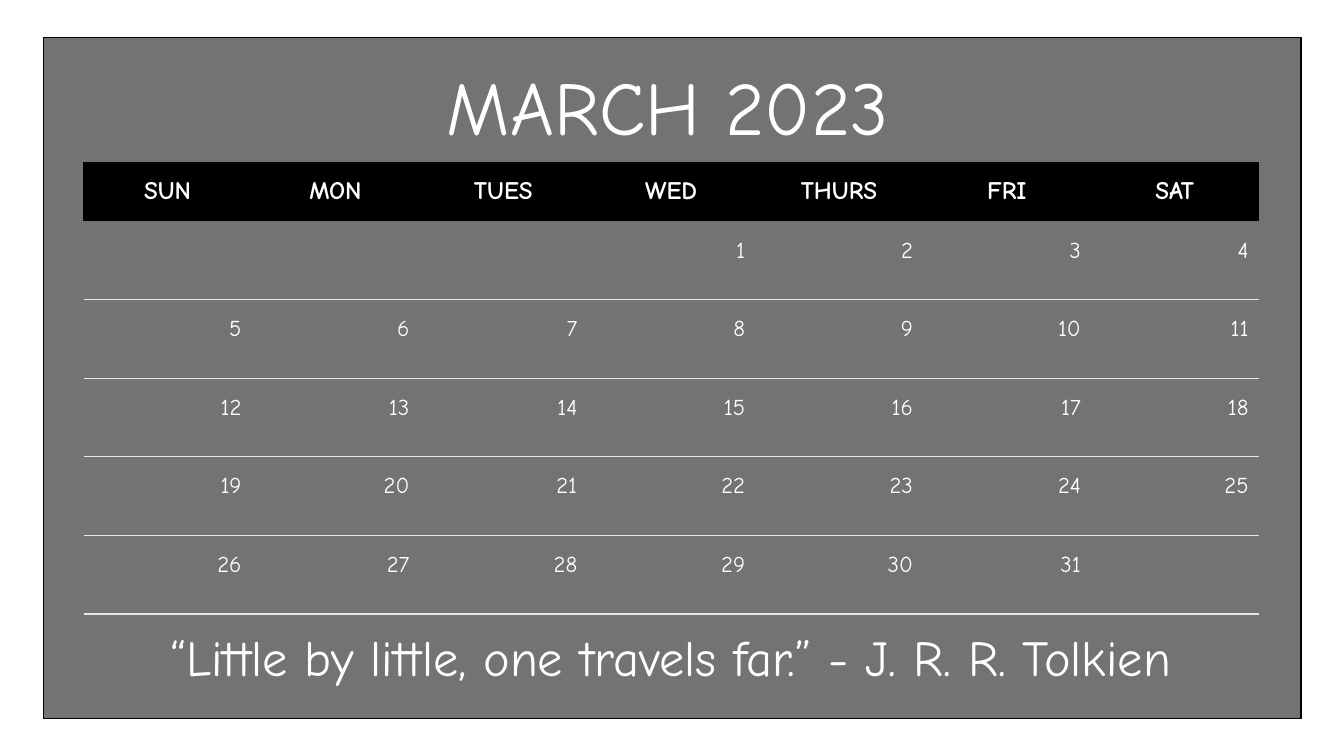
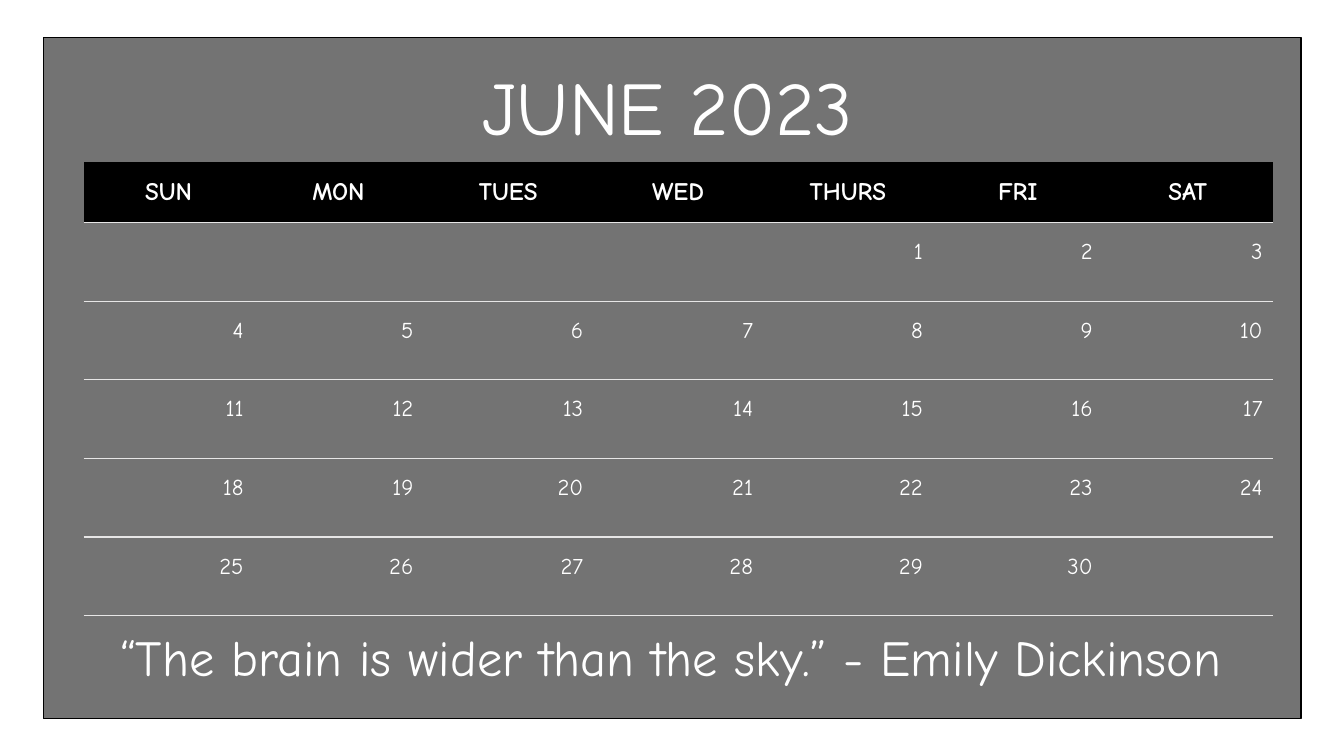
from dataclasses import dataclass

from lxml import etree
from pptx import Presentation
from pptx import util as u
from pptx.dml.color import RGBColor
from pptx.enum import shapes, text
from pptx.oxml import ns

FONT = "Comic Neue"
BLACK, WHITE, RULE = "000000", "FFFFFF", "E7E6E6"
WEEKDAYS = ("SUN", "MON", "TUES", "WED", "THURS", "FRI", "SAT")
WEEKS = 5
TABLE_LEFT, TABLE_TOP = 2.11, 4.09
DAY_BASELINE = "8000"


@dataclass(frozen=True)
class Box:
    """Position and size in centimetres."""
    left: float
    top: float
    width: float
    height: float

    def lengths(self) -> tuple:
        return tuple(u.Cm(value) for value in (self.left, self.top, self.width, self.height))


@dataclass(frozen=True)
class Border:
    color: str
    points: float


@dataclass(frozen=True)
class Month:
    title: str
    quote: str
    first_weekday: int
    days: int
    column_width: float
    header_height: float
    week_height: float
    header_ruled: bool


PANEL = Box(1.09, 0.94, 31.7, 17.17)
TITLE = Box(2.11, 1.47, 29.44, 2.64)
QUOTE = Box(1.07, 15.44, 31.67, 2.39)
WEEK_BORDER = Border(RULE, 1)
HEADER_BORDER = Border(BLACK, 0.5)

MONTHS = (
    Month("MARCH 2023", "“Little by little, one travels far.” - J. R. R. Tolkien",
          3, 31, 4.23, 1.48, 1.98, False),
    Month("JUNE 2023", "“The brain is wider than the sky.” - Emily Dickinson",
          4, 30, 4.28, 1.52, 1.98, True),
)


def rgb(color: str) -> RGBColor:
    return RGBColor.from_string(color)


def add_run(paragraph, content: str, size: float, bold: bool = False):
    run = paragraph.add_run()
    run.text = content
    run.font.name = FONT
    run.font.size = u.Pt(size)
    run.font.bold = bold
    run.font.color.rgb = rgb(WHITE)
    return run


def add_panel(slide) -> None:
    panel = slide.shapes.add_shape(shapes.MSO_SHAPE.RECTANGLE, *PANEL.lengths())
    panel.shadow.inherit = False
    panel.fill.solid()
    panel.fill.fore_color.rgb = rgb(BLACK)
    color = panel.fill._xPr.find(".//" + ns.qn("a:srgbClr"))
    etree.SubElement(color, ns.qn("a:alpha"), val="55000")
    panel.line.color.rgb = rgb(BLACK)
    panel.line.width = u.Pt(1)


def add_heading(slide, box: Box, content: str, size: float) -> None:
    frame = slide.shapes.add_textbox(*box.lengths()).text_frame
    frame.word_wrap = True
    frame.vertical_anchor = text.MSO_ANCHOR.MIDDLE
    paragraph = frame.paragraphs[0]
    paragraph.alignment = text.PP_ALIGN.CENTER
    paragraph.line_spacing = 0.9
    add_run(paragraph, content, size)


def set_borders(cell, **borders: Border) -> None:
    """Draw the sides given as L, R, T or B and clear the others."""
    properties = cell._tc.get_or_add_tcPr()
    for side in "LRTB":
        line = etree.SubElement(properties, ns.qn(f"a:ln{side}"))
        border = borders.get(side)
        if border is None:
            etree.SubElement(line, ns.qn("a:noFill"))
        else:
            line.set("w", str(u.Pt(border.points)))
            fill = etree.SubElement(line, ns.qn("a:solidFill"))
            etree.SubElement(fill, ns.qn("a:srgbClr"), val=border.color)


def fill_header_cell(cell, month: Month, column: int) -> None:
    if month.header_ruled:
        borders = {"B": WEEK_BORDER}
    else:
        borders = {"T": HEADER_BORDER}
        if column == 0:
            borders["L"] = HEADER_BORDER
        if column == len(WEEKDAYS) - 1:
            borders["R"] = HEADER_BORDER
    set_borders(cell, **borders)
    cell.fill.solid()
    cell.fill.fore_color.rgb = rgb(BLACK)
    cell.vertical_anchor = text.MSO_ANCHOR.MIDDLE
    paragraph = cell.text_frame.paragraphs[0]
    paragraph.alignment = text.PP_ALIGN.CENTER
    add_run(paragraph, WEEKDAYS[column], 18, bold=True)


def fill_day_cell(cell, month: Month, week: int, column: int) -> None:
    borders = {"B": WEEK_BORDER}
    if week > 0 or month.header_ruled:
        borders["T"] = WEEK_BORDER
    set_borders(cell, **borders)
    cell.fill.background()
    day = week * len(WEEKDAYS) + column - month.first_weekday + 1
    if 1 <= day <= month.days:
        paragraph = cell.text_frame.paragraphs[0]
        paragraph.alignment = text.PP_ALIGN.RIGHT
        run = add_run(paragraph, str(day), 28)
        run._r.get_or_add_rPr().set("baseline", DAY_BASELINE)


def add_calendar(slide, month: Month) -> None:
    box = Box(TABLE_LEFT, TABLE_TOP, month.column_width * len(WEEKDAYS),
              month.header_height + month.week_height * WEEKS)
    table = slide.shapes.add_table(WEEKS + 1, len(WEEKDAYS), *box.lengths()).table
    table.first_row = False
    table.horz_banding = False
    for column in table.columns:
        column.width = u.Cm(month.column_width)
    for index, row in enumerate(table.rows):
        row.height = u.Cm(month.week_height if index else month.header_height)
    for column in range(len(WEEKDAYS)):
        fill_header_cell(table.cell(0, column), month, column)
        for week in range(WEEKS):
            fill_day_cell(table.cell(week + 1, column), month, week, column)


def add_month_slide(presentation, month: Month) -> None:
    slide = presentation.slides.add_slide(presentation.slide_layouts[6])
    add_panel(slide)
    add_heading(slide, TITLE, month.title, 54)
    add_calendar(slide, month)
    add_heading(slide, QUOTE, month.quote, 36)


def main() -> None:
    presentation = Presentation()
    presentation.slide_width = u.Cm(33.87)
    presentation.slide_height = u.Cm(19.05)
    for month in MONTHS:
        add_month_slide(presentation, month)
    presentation.save("out.pptx")


if __name__ == "__main__":
    main()
